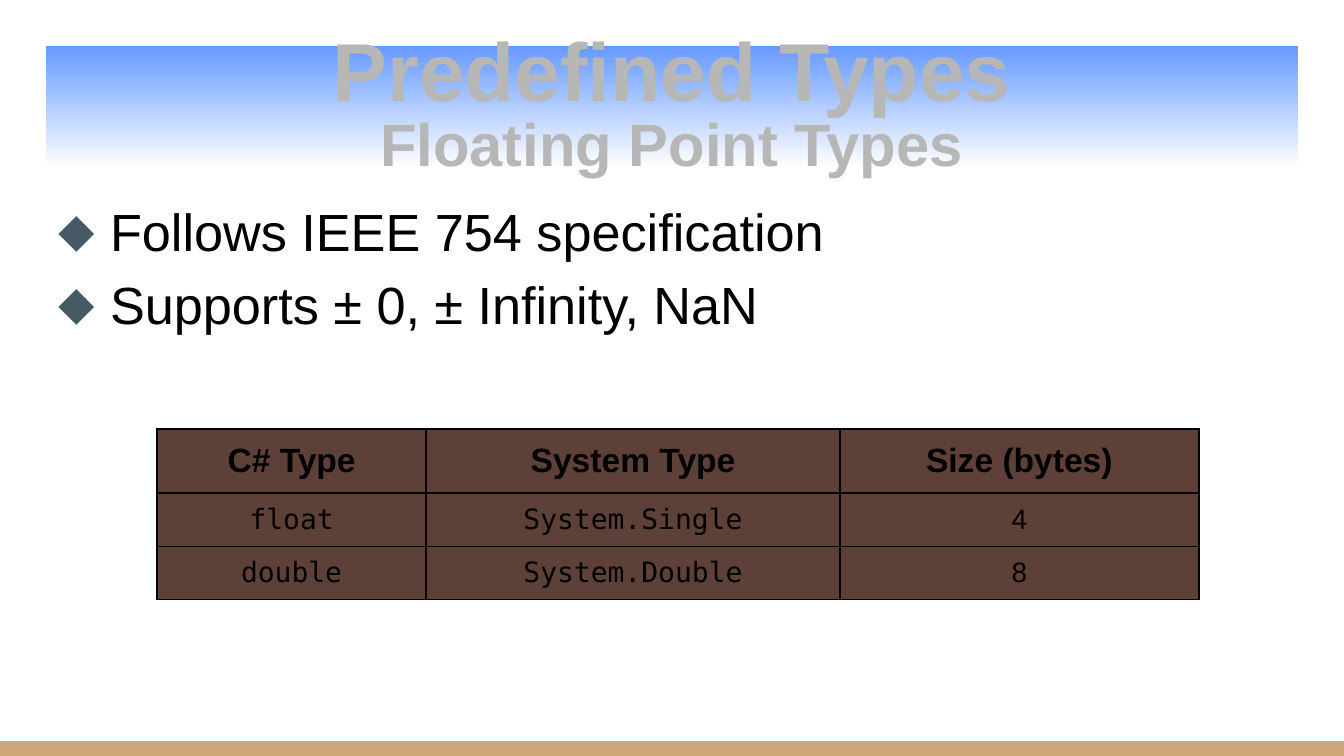
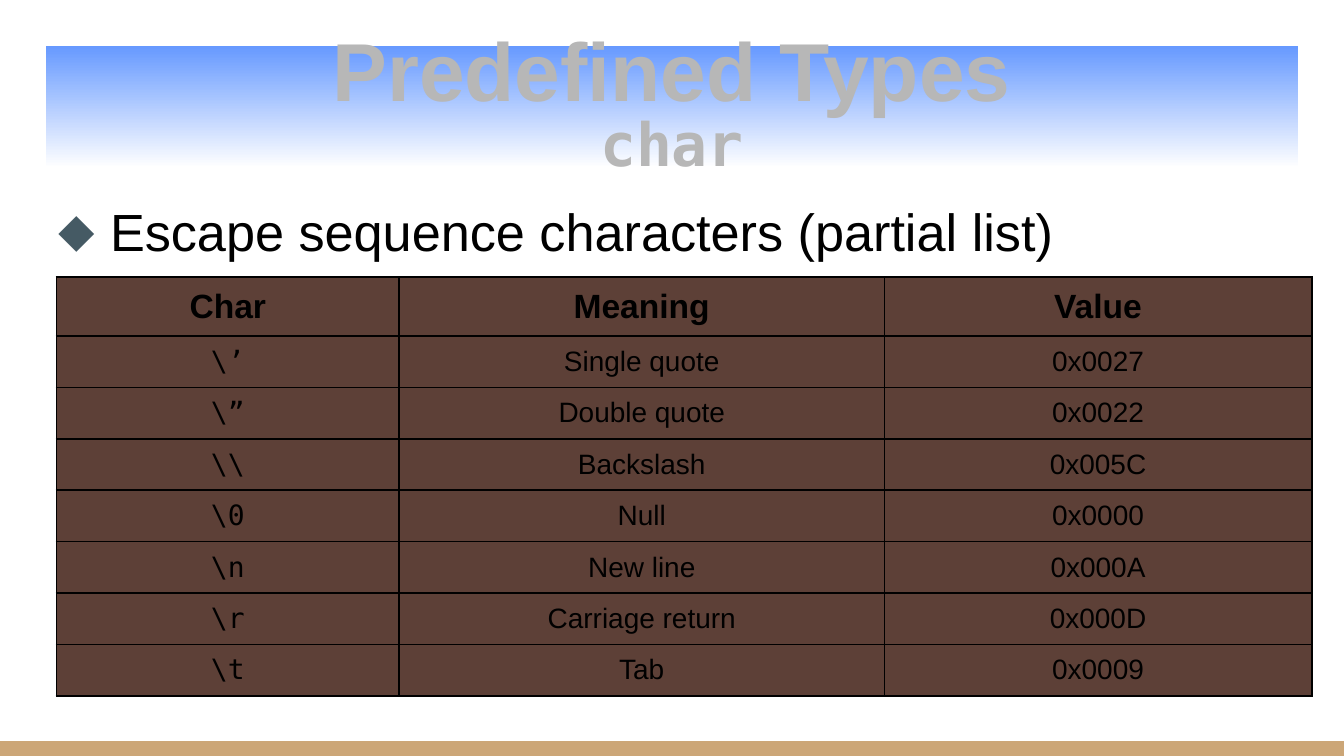
from lxml import etree
from pptx import Presentation
from pptx import util as u
from pptx.dml.color import RGBColor
from pptx.enum import shapes, text
from pptx.oxml import ns

# Shared look
W = 10
H = W * 9 / 16
MARGIN = 0.34
WIDTH = W - 2 * MARGIN
SANS, MONO = "Arial", "DejaVu Sans Mono"
BLACK = RGBColor(0x00, 0x00, 0x00)
WHITE = RGBColor(0xFF, 0xFF, 0xFF)
SKY = RGBColor(0x66, 0x99, 0xFF)
SILVER = RGBColor(0xB7, 0xB7, 0xB7)
SLATE = RGBColor(0x45, 0x5A, 0x64)
BROWN = RGBColor(0x5D, 0x40, 0x37)
SAND = RGBColor(0xCC, 0xA6, 0x77)

TITLE = dict(size=u.Pt(44), name=SANS, bold=True)
SUBTITLE = dict(TITLE, size=u.Pt(32))
BODY = dict(size=u.Pt(28), name=SANS)
HEAD = dict(size=u.Pt(18), name=SANS, bold=True)
CELL = dict(size=u.Pt(15), name=SANS, bold=False)
CODE = dict(CELL, name=MONO)


def set_all(obj, values):
    for key, value in values.items():
        setattr(obj, key, value)


def add_run(p, words, font, color=BLACK):
    r = p.add_run()
    r.text = words
    set_all(r.font, font)
    r.font.color.rgb = color


def add_xml(parent, tag, **attributes):
    return etree.SubElement(parent, ns.qn(tag), attributes)


def add_solid(parent, color):
    add_xml(add_xml(parent, "a:solidFill"), "a:srgbClr", val=str(color))


def add_rect(s, left, top, width, height):
    sp = s.shapes.add_shape(shapes.MSO_SHAPE.RECTANGLE,
                            *map(u.Inches, (left, top, width, height)))
    sp.shadow.inherit = False
    sp.line.fill.background()
    return sp


def add_footer(s):
    sp = add_rect(s, 0, H - 0.11, W, 0.11)
    sp.fill.solid()
    sp.fill.fore_color.rgb = SAND


def add_title(s, subtitle, font):
    sp = add_rect(s, MARGIN, 0.34, WIDTH, 0.91)
    sp.fill.gradient()
    sp.fill.gradient_angle = 270
    for stop, position, color in zip(sp.fill.gradient_stops, (0, 1), (SKY, WHITE)):
        stop.position = position
        stop.color.rgb = color
    tf = sp.text_frame
    set_all(tf, dict(word_wrap=True, vertical_anchor=text.MSO_ANCHOR.MIDDLE))
    p = tf.paragraphs[0]
    set_all(p, dict(alignment=text.PP_ALIGN.CENTER, line_spacing=0.85))
    add_run(p, "Predefined Types", TITLE, SILVER)
    p.add_line_break()
    add_run(p, subtitle, font, SILVER)


def add_bullets(s, lines):
    box = s.shapes.add_textbox(*map(u.Inches, (MARGIN, 1.43, WIDTH, 3.67)))
    tf = box.text_frame
    tf.word_wrap = True
    indent = u.Inches(0.38)
    for i, line in enumerate(lines):
        p = tf.add_paragraph() if i else tf.paragraphs[0]
        p.space_before = u.Pt(5.6 if i else 0)
        pPr = p._p.get_or_add_pPr()
        pPr.set("marL", str(indent))
        pPr.set("indent", str(-indent))
        add_xml(add_xml(pPr, "a:buClr"), "a:srgbClr", val=str(SLATE))
        add_xml(pPr, "a:buFont", typeface=SANS)
        add_xml(pPr, "a:buChar", char="⬥")
        add_run(p, line, BODY)


def fill_cell(cell, words, font):
    set_all(cell, dict(vertical_anchor=text.MSO_ANCHOR.MIDDLE,
                       margin_top=u.Inches(0.04), margin_bottom=u.Inches(0.04)))
    tcPr = cell._tc.get_or_add_tcPr()
    for side in "LRTB":
        add_solid(add_xml(tcPr, "a:ln" + side, w=str(u.Pt(1))), BLACK)
    cell.fill.solid()
    cell.fill.fore_color.rgb = BROWN
    p = cell.text_frame.paragraphs[0]
    p.alignment = text.PP_ALIGN.CENTER
    add_run(p, words, font)


def add_table(s, left, top, widths, height, head_height, rows, code_columns):
    """The first row is the head; the first code_columns columns are monospaced."""
    row_height = (height - head_height) / (len(rows) - 1)
    size = (left, top, sum(widths), height)
    table = s.shapes.add_table(len(rows), len(widths), *map(u.Inches, size)).table
    set_all(table, dict(first_row=False, horz_banding=False))
    for column, width in zip(table.columns, widths):
        column.width = u.Inches(width)
    for i, row in enumerate(rows):
        table.rows[i].height = u.Inches(row_height if i else head_height)
        for j, words in enumerate(row):
            font = HEAD if i == 0 else CODE if j < code_columns else CELL
            fill_cell(table.cell(i, j), words, font)


def add_slide(prs, subtitle, subtitle_font, bullets):
    s = prs.slides.add_slide(prs.slide_layouts[6])
    add_footer(s)
    add_title(s, subtitle, subtitle_font)
    add_bullets(s, bullets)
    return s


def main():
    prs = Presentation()
    set_all(prs, dict(slide_width=u.Inches(W), slide_height=u.Inches(H)))

    # Floating point types
    s = add_slide(prs, "Floating Point Types", SUBTITLE,
                  ["Follows IEEE 754 specification",
                   "Supports ± 0, ± Infinity, NaN"])
    add_table(s, 1.17, 3.19, (2, 3.08, 2.67), 1.27, 0.48, [
        ("C# Type", "System Type", "Size (bytes)"),
        ("float", "System.Single", "4"),
        ("double", "System.Double", "8"),
    ], code_columns=2)

    # Escape sequences
    s = add_slide(prs, "char", dict(SUBTITLE, name=MONO),
                  ["Escape sequence characters (partial list)"])
    add_table(s, 0.42, 2.06, (2.55, 3.61, 3.18), 3.12, 0.44, [
        ("Char", "Meaning", "Value"),
        ("\\’", "Single quote", "0x0027"),
        ("\\”", "Double quote", "0x0022"),
        ("\\\\", "Backslash", "0x005C"),
        ("\\0", "Null", "0x0000"),
        ("\\n", "New line", "0x000A"),
        ("\\r", "Carriage return", "0x000D"),
        ("\\t", "Tab", "0x0009"),
    ], code_columns=1)

    prs.save("out.pptx")


if __name__ == "__main__":
    main()
